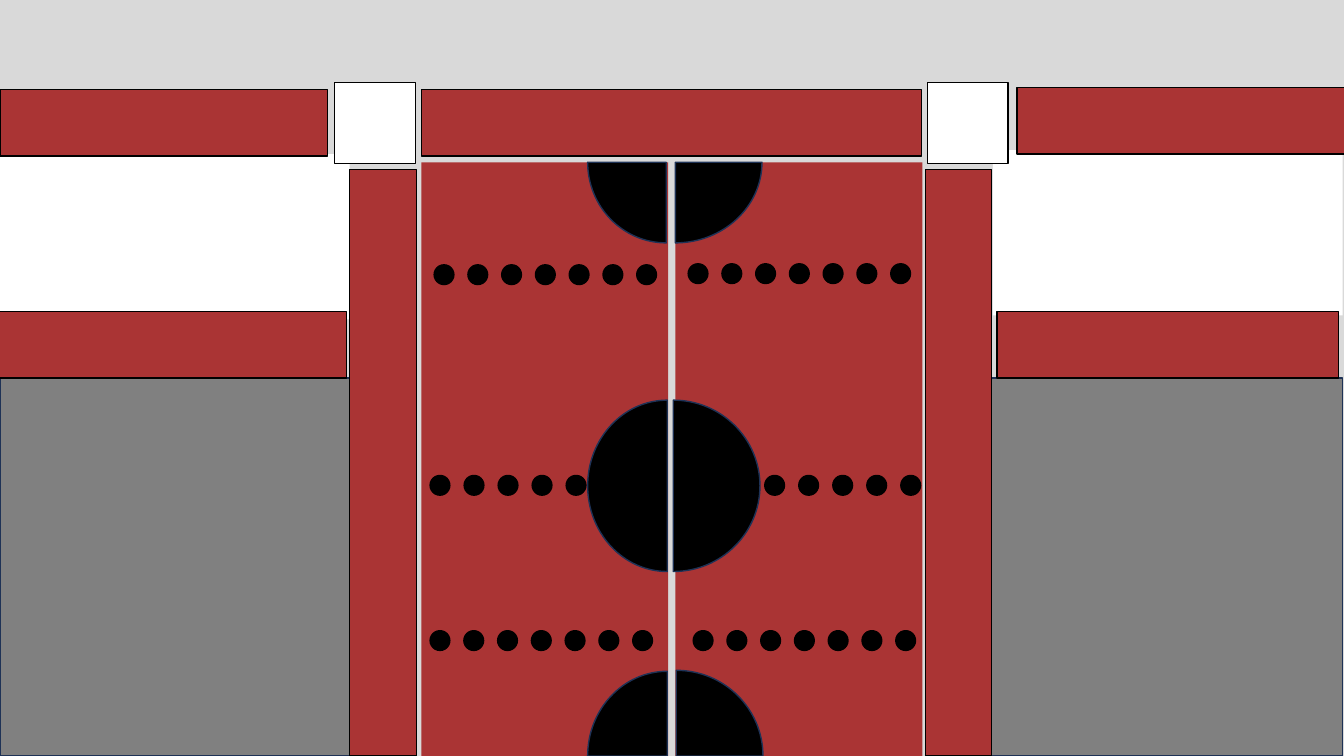
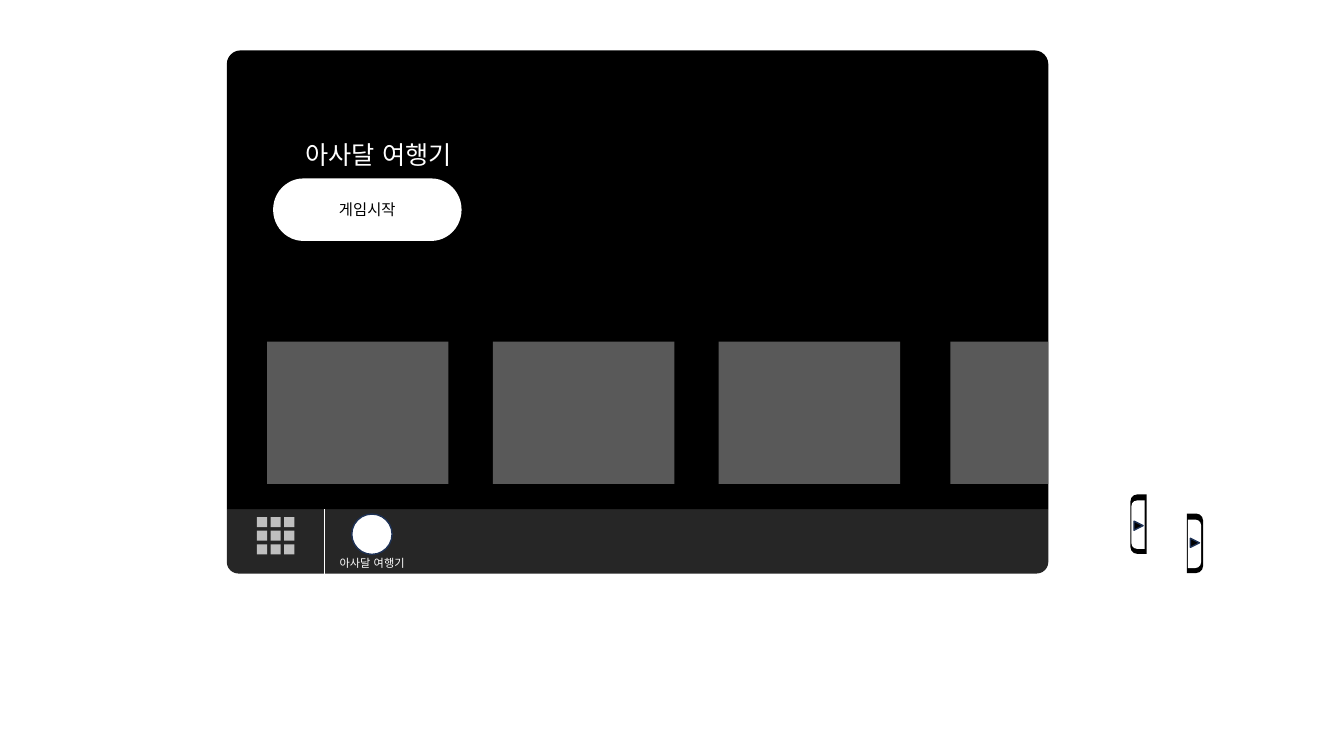
from math import cos, radians, sin

from lxml.etree import SubElement
from pptx import Presentation
from pptx.dml.color import RGBColor
from pptx.enum.lang import MSO_LANGUAGE_ID as Language
from pptx.enum.shapes import MSO_CONNECTOR, MSO_SHAPE as Preset
from pptx.enum.text import MSO_ANCHOR, MSO_AUTO_SIZE, PP_ALIGN
from pptx.oxml.ns import qn
from pptx.util import Inches, Pt

FONT = "Noto Sans CJK KR"
BLACK, WHITE = "000000", "FFFFFF"
BRICK, NAVY = "AA3434", "1E3256"
LIGHT, GROUND = "D9D9D9", "808080"
TASKBAR, CARD, TILE = "262626", "595959", "BFBFBF"
GAME_NAME = "아사달 여행기"
QUARTER_HANDLE = 0.5523  # control length of a Bézier quarter circle


def rgb(color):
    return RGBColor.from_string(color)


def new_slide(deck, layout, background):
    slide = deck.slides.add_slide(deck.slide_layouts[layout])
    slide.background.fill.solid()
    slide.background.fill.fore_color.rgb = rgb(background)
    return slide


def paint(shape, fill, line=None):
    shape.shadow.inherit = False
    shape.fill.solid()
    shape.fill.fore_color.rgb = rgb(fill)
    if line:
        shape.line.color.rgb = rgb(line)
        shape.line.width = Pt(1)
    else:
        shape.line.fill.background()
    return shape


def block(shapes, box, fill, line=None, preset=Preset.RECTANGLE):
    return paint(shapes.add_shape(preset, *map(Inches, box)), fill, line)


def rounded_end(shapes, box, fill, top=0, bottom=0, rotation=0):
    """Rectangle whose top or bottom pair of corners is rounded."""
    panel = block(shapes, box, fill, preset=Preset.ROUND_2_SAME_RECTANGLE)
    panel.adjustments[0], panel.adjustments[1] = top, bottom
    panel.rotation = rotation


def write(shape, text, size, color, align=PP_ALIGN.LEFT, anchor=MSO_ANCHOR.TOP,
          fit=MSO_AUTO_SIZE.SHAPE_TO_FIT_TEXT):
    frame = shape.text_frame
    frame.text = text
    frame.word_wrap = True
    frame.auto_size = fit
    frame.vertical_anchor = anchor
    paragraph = frame.paragraphs[0]
    paragraph.alignment = align
    run = paragraph.runs[0]
    font = run.font
    font.name, font.size, font.color.rgb = FONT, Pt(size), rgb(color)
    font.language_id = Language.KOREAN
    SubElement(run._r.get_or_add_rPr(), qn("a:ea")).set("typeface", FONT)


def sector(shapes, center, radii, start, quarters):
    """Slice of an ellipse, clockwise from start degrees, in quarter turns."""
    (cx, cy), (rx, ry) = center, radii

    def place(x, y):
        return Inches(cx + rx * x), Inches(cy + ry * y)

    points = [place(cos(radians(start)), sin(radians(start)))]
    for i in range(quarters):
        c, s = cos(radians(start + 90 * i)), sin(radians(start + 90 * i))
        k = QUARTER_HANDLE
        points += [place(c - k * s, s + k * c), place(k * c - s, k * s + c), place(-s, c)]
    outline = shapes.build_freeform(*place(0, 0))
    outline.add_line_segments(points, close=True)
    slice_shape = paint(outline.convert_to_shape(), BLACK, NAVY)

    segments = list(slice_shape.element.iter(qn("a:lnTo")))[1:1 + 3 * quarters]
    for i in range(0, len(segments), 3):
        first, *others = segments[i:i + 3]
        curve = first.makeelement(qn("a:cubicBezTo"))
        first.addprevious(curve)
        for segment in (first, *others):
            curve.append(segment[0])
            segment.getparent().remove(segment)


def dot_row(slide, first, last, top, count):
    row = slide.shapes.add_group_shape().shapes
    pitch = (last - first) / (count - 1)
    for i in range(count):
        block(row, (first + i * pitch, top, 0.21, 0.21), BLACK, preset=Preset.OVAL)


def gate_slide(deck):
    slide = new_slide(deck, 6, LIGHT)
    shapes = slide.shapes

    for left in (9.79, 0):
        block(shapes, (left, 3.75, 3.53, 3.75), GROUND, NAVY)
    for left, top in ((9.85, 1.49), (0, 1.53)):
        block(shapes, (left, top, 3.47, 1.64), WHITE)
    for door_left in (4.18, 6.7):
        block(shapes, (door_left, 1.61, 2.45, 5.89), BRICK)

    for center, radii, start, quarters in (
        ((6.62, 4.82), (0.79, 0.85), 90, 2),
        ((6.68, 4.82), (0.86, 0.85), 270, 2),
        ((6.71, 7.5), (0.86, 0.85), 270, 1),
        ((6.62, 7.5), (0.79, 0.84), 180, 1),
        ((6.61, 1.61), (0.78, 0.8), 90, 1),
        ((6.7, 1.61), (0.86, 0.8), 0, 1),
    ):
        sector(shapes, center, radii, start, quarters)

    for post_left in (3.32, 9.2):
        block(shapes, (post_left, 0.82, 0.8, 0.8), WHITE, BLACK)
    for beam in (
        (4.18, 0.89, 4.96, 0.66),
        (0, 0.89, 3.25, 0.66),
        (10.09, 0.87, 3.25, 0.66),
    ):
        block(shapes, beam, BRICK, BLACK)
    for wall_left in (0.89, 6.6):
        block(shapes, (wall_left, 4.26, 5.82, 0.66), BRICK, BLACK).rotation = 270
    for left, width in ((-0.01, 3.45), (9.89, 3.39)):
        block(shapes, (left, 3.09, width, 0.66), BRICK, BLACK)

    for first, last, top, count in (
        (4.26, 5.61, 4.71, 5),
        (7.58, 8.93, 4.71, 5),
        (4.3, 6.31, 2.62, 7),
        (4.26, 6.27, 6.25, 7),
        (6.87, 8.88, 6.25, 7),
        (6.82, 8.83, 2.61, 7),
    ):
        dot_row(slide, first, last, top, count)


def divider(shapes, x, top, bottom):
    line = shapes.add_connector(MSO_CONNECTOR.STRAIGHT, Inches(x), Inches(top),
                                Inches(x), Inches(bottom))
    line.line.color.rgb = rgb(WHITE)
    line.line.width = Pt(0.5)
    SubElement(line.element.spPr, qn("a:effectLst"))


def side_tab(slide, outer, inner, arrow, rotation):
    """Pull-out handle: rounded outer and inner plates with an arrow."""
    tab = slide.shapes.add_group_shape().shapes
    rounded_end(tab, (*outer, 0.59, 0.16), BLACK, top=0.43, rotation=rotation)
    rounded_end(tab, (*inner, 0.48, 0.13), WHITE, top=0.43, rotation=rotation)
    block(tab, (*arrow, 0.09, 0.09), BLACK, NAVY, Preset.ISOSCELES_TRIANGLE).rotation = 90


def launcher_slide(deck):
    slide = new_slide(deck, 5, WHITE)
    shapes = slide.shapes

    rounded_end(shapes, (2.25, 5.05, 8.15, 0.64), TASKBAR, bottom=0.18)
    rounded_end(shapes, (2.25, 0.5, 8.15, 4.55), BLACK, top=0.03)
    divider(shapes, 3.22, 5.05, 5.69)

    menu = shapes.add_group_shape().shapes
    pitch = (2.82 - 2.55) / 2
    for i in range(9):
        row, column = divmod(i, 3)
        block(menu, (2.55 + column * pitch, 5.13 + row * pitch, 0.1, 0.1), TILE)

    block(shapes, (3.49, 5.1, 0.4, 0.4), WHITE, NAVY, Preset.OVAL)
    app_label = shapes.add_textbox(*map(Inches, (3.27, 5.47, 0.98, 0.24)))
    write(app_label, GAME_NAME, 8, WHITE)

    title = shapes.title
    title.left, title.top, title.width, title.height = map(Inches, (2.93, 1.33, 1.81, 0.4))
    write(title, GAME_NAME, 18, WHITE)
    title.element.getparent().append(title.element)  # in front of the screen

    start_button = block(shapes, (2.71, 1.77, 1.87, 0.62), WHITE,
                         preset=Preset.FLOWCHART_TERMINATOR)
    write(start_button, "게임시작", 11, BLACK, PP_ALIGN.CENTER, MSO_ANCHOR.MIDDLE,
          MSO_AUTO_SIZE.NONE)

    for left, width in ((2.65, 1.8), (4.89, 1.8), (7.13, 1.8), (9.43, 0.97)):
        block(shapes, (left, 3.39, width, 1.41), CARD)

    side_tab(slide, (11.56, 5.31), (11.61, 5.33), (11.81, 5.34), 90)
    side_tab(slide, (11, 5.12), (11.05, 5.14), (11.25, 5.17), 270)


def main():
    deck = Presentation()
    deck.slide_width, deck.slide_height = Inches(40 / 3), Inches(7.5)
    gate_slide(deck)
    launcher_slide(deck)
    deck.save("out.pptx")


if __name__ == "__main__":
    main()
